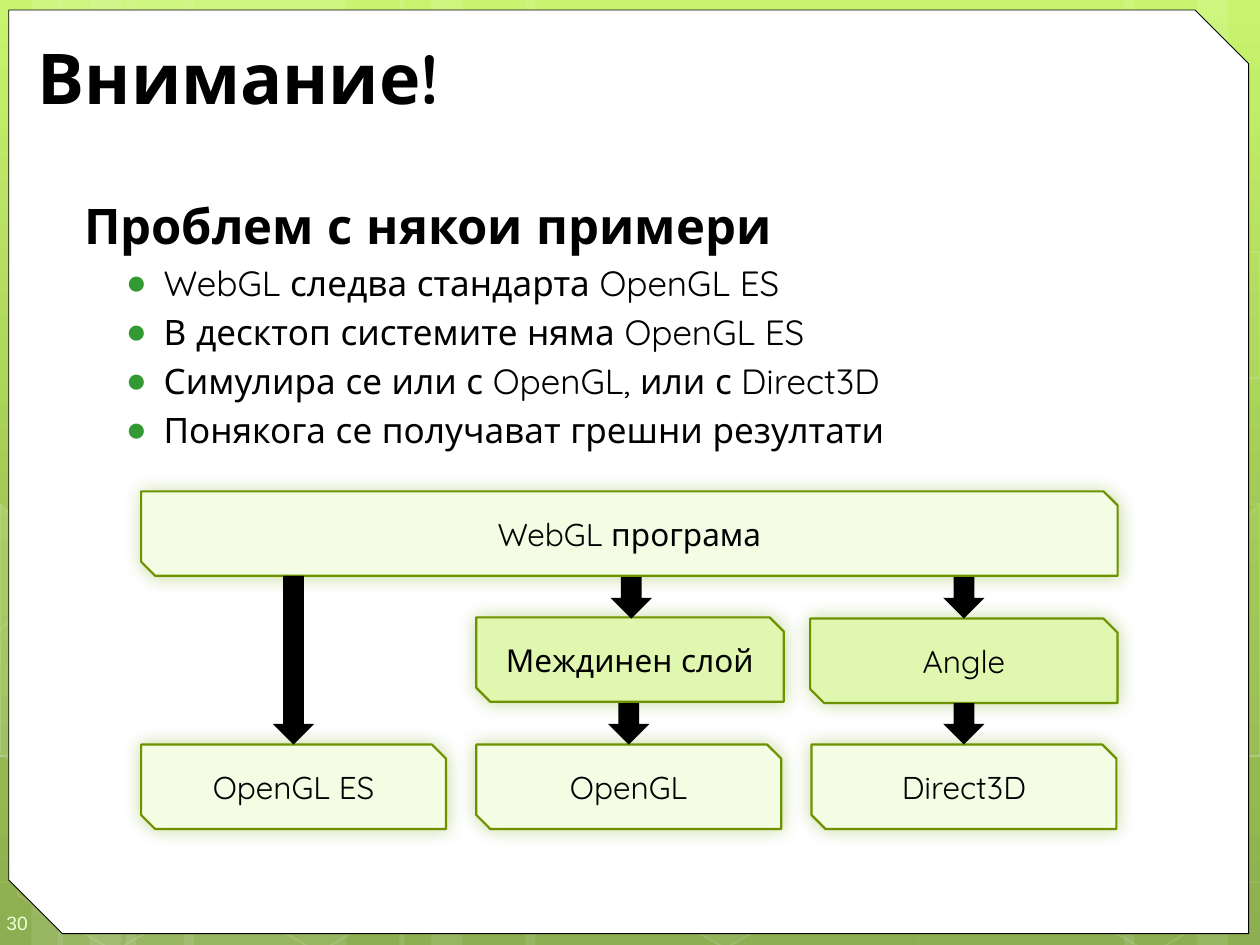
from lxml.etree import SubElement
from pptx import Presentation
from pptx.dml.color import RGBColor
from pptx.enum.shapes import MSO_SHAPE
from pptx.enum.text import MSO_ANCHOR, PP_ALIGN
from pptx.oxml.ns import qn
from pptx.util import Inches, Pt

WIDTH, HEIGHT = 10, 7.5
FONT = "Quicksand"
BLACK, WHITE = "000000", "FFFFFF"
PALE, LIME, OLIVE = "F4FCE4", "DFF7AE", "6D9200"

# Diagram grid: three columns, three rows
LEFT, PITCH, BOX_WIDTH, BOX_HEIGHT = 1.12, 2.66, 2.42, 0.67
TOP_ROW, MIDDLE_ROW, BOTTOM_ROW = 3.9, 4.9, 5.91
ARROW = 0.33

# Background strips: left and width
STRIPS = [(1, 1.75), (0, 0.5), (0.25, 0.83), (1.46, 1.75), (0.46, 0.5), (0.71, 0.83),
          (7.25, 1.75), (9.5, 0.5), (8.92, 0.83), (4.17, 3.08), (3.17, 0.5), (3.42, 0.83)]
# Thin sweeping lines behind the panel
SWEEPS = [
    [(-0.01, 6.73), (1.82, 6.78), (4.5, 6.65), (7.83, 6.17), (9.99, 5.51)],
    [(-0.01, 4.77), (1.13, 4.31), (3.39, 3.87), (6.46, 3.87), (9.99, 4.34)],
    [(-0.02, 6.17), (3.26, 7.49)],
    [(-0.01, 5.78), (1.2, 6.16), (3.48, 6.73), (6.2, 7.18), (8.44, 7.36), (9.99, 7.34)],
    [(2.34, 7.49), (2.94, 6.91), (4.61, 6.09), (6.72, 5.69), (8.78, 5.62), (9.98, 5.66)],
]
# Hexagons that reach the slide's lower edge: left, top, fill opacity
HEXAGONS = [(4.88, 5.89, 6), (0.03, 5.91, None), (1.65, 5.92, None), (8.26, 5.93, None)]
# Hexagons cut by the sides of the slide: outline, fill opacity
CUT_HEXAGONS = [
    ([(0, 4.45), (0.11, 4.38), (0.87, 4.82), (0.87, 5.7), (0.12, 6.14), (0, 6.07)], 10),
    ([(9.18, 4.85), (9.93, 4.41), (10, 4.46), (10.01, 6.13), (9.94, 6.17), (9.17, 5.73)], 4),
    ([(9.18, 2.07), (9.93, 1.63), (10.01, 1.68), (10.01, 3.35), (9.94, 3.39), (9.17, 2.95)], None),
]
BULLETS = ["WebGL следва стандарта OpenGL ES", "В десктоп системите няма OpenGL ES",
           "Симулира се или с OpenGL, или с Direct3D", "Понякога се получават грешни резултати"]


def rgb(color):
    return RGBColor.from_string(color)


def add_alpha(parent, percent):
    color = parent.find(f"{qn('a:solidFill')}/{qn('a:srgbClr')}")
    SubElement(color, qn("a:alpha"), val=str(percent * 1000))


def style(shape, fill=None, fill_alpha=None, line=None, weight=1, line_alpha=None):
    """Set fill and outline; opacities are in percent."""
    shape.shadow.inherit = False
    properties = shape.element.spPr
    if fill:
        shape.fill.solid()
        shape.fill.fore_color.rgb = rgb(fill)
        if fill_alpha:
            add_alpha(properties, fill_alpha)
    else:
        shape.fill.background()
    if line:
        shape.line.color.rgb = rgb(line)
        shape.line.width = Pt(weight)
        if line_alpha:
            add_alpha(properties.find(qn("a:ln")), line_alpha)
    else:
        shape.line.fill.background()


def add_preset(page, kind, left, top, width, height, **look):
    shape = page.shapes.add_shape(kind, *map(Inches, (left, top, width, height)))
    style(shape, **look)
    return shape


def add_outline(page, points, close, **look):
    builder = page.shapes.build_freeform(*points[0], scale=Inches(1))
    builder.add_line_segments(points[1:], close=close)
    style(builder.convert_to_shape(), **look)


def write(para, text, size, color=BLACK, font=FONT, bold=False, align=PP_ALIGN.LEFT):
    para.alignment = align
    span = para.add_run()
    span.text = text
    span.font.size, span.font.name, span.font.bold = Pt(size), font, bold
    span.font.color.rgb = rgb(color)


def set_insets(frame, left, top, right, bottom):
    frame.margin_left, frame.margin_top = Inches(left), Inches(top)
    frame.margin_right, frame.margin_bottom = Inches(right), Inches(bottom)


def add_text_box(page, left, top, width, height):
    frame = page.shapes.add_textbox(*map(Inches, (left, top, width, height))).text_frame
    frame.word_wrap = True
    return frame


def indent(para, margin, first=0.0):
    properties = para._p.get_or_add_pPr()
    properties.set("marL", str(Inches(margin)))
    properties.set("indent", str(Inches(first)))
    return properties


def add_bullet(para):
    properties = indent(para, 0.7, -0.3)
    SubElement(SubElement(properties, qn("a:spcBef")), qn("a:spcPct"), val="20000")
    SubElement(SubElement(properties, qn("a:buClr")), qn("a:srgbClr"), val="339933")
    SubElement(properties, qn("a:buFont"), typeface="Arial")
    SubElement(properties, qn("a:buChar"), char="●")


def add_box(page, text, left, top, width, fill):
    box = add_preset(page, MSO_SHAPE.SNIP_2_DIAG_RECTANGLE, left, top, width, BOX_HEIGHT,
                     fill=fill, line=OLIVE, weight=1.25)
    effects = box.element.spPr.find(qn("a:effectLst"))
    shadow = SubElement(effects, qn("a:outerShdw"), blurRad=str(Pt(10)), dist="0",
                        dir="2700000", algn="ctr", rotWithShape="0")
    color = SubElement(shadow, qn("a:srgbClr"), val="74A510")
    SubElement(color, qn("a:alpha"), val="40000")
    frame = box.text_frame
    frame.vertical_anchor = MSO_ANCHOR.MIDDLE
    set_insets(frame, 0, 0.05, 0, 0.05)
    write(frame.paragraphs[0], text, 18, align=PP_ALIGN.CENTER)


def add_down_arrow(page, center, top, length=ARROW):
    arrow = add_preset(page, MSO_SHAPE.RIGHT_ARROW, center - length / 2,
                       top + (length - ARROW) / 2, length, ARROW, fill=BLACK)
    arrow.rotation = 90


def add_background(page):
    fill = page.background.fill
    fill.gradient()
    fill.gradient_angle = 270
    stops = page.element.find(f".//{qn('a:gsLst')}")
    stops.clear()
    for share, color in [(0, "C3F35F"), (62, "93BF3F"), (100, "81A53E")]:
        stop = SubElement(stops, qn("a:gs"), pos=str(share * 1000))
        SubElement(stop, qn("a:srgbClr"), val=color)

    for left, width in STRIPS:
        add_preset(page, MSO_SHAPE.RECTANGLE, left, 0, width, HEIGHT, fill=WHITE, fill_alpha=10)
    for points in SWEEPS:
        add_outline(page, points, False, line=WHITE, weight=0.5, line_alpha=20)
    for left, top, alpha in HEXAGONS:
        hexagon = add_preset(page, MSO_SHAPE.HEXAGON, left, top, 1.75, 1.52,
                             fill=alpha and WHITE, fill_alpha=alpha, line=WHITE, line_alpha=12)
        hexagon.adjustments[0] = 0.285
        hexagon.rotation = 30
    for points, alpha in CUT_HEXAGONS:
        add_outline(page, points, True, fill=alpha and WHITE, fill_alpha=alpha,
                    line=WHITE, line_alpha=12)

    # White panel and page number
    panel = add_preset(page, MSO_SHAPE.SNIP_2_DIAG_RECTANGLE, 0.07, 0.08, 9.84, 7.33,
                       fill=WHITE, line=BLACK, weight=0.5)
    panel.adjustments[1] = 0.058
    number = add_text_box(page, 0, 7.1, 0.58, 0.4)
    number.vertical_anchor = MSO_ANCHOR.MIDDLE
    set_insets(number, 0.05, 0.15, 0, 0.1)
    write(number.paragraphs[0], "30", 11, color="EEFFD6", font="Arial")


def add_texts(page):
    title = page.shapes.title
    title.left, title.top, title.width, title.height = map(Inches, (0.2, 0.25, 9.47, 0.71))
    title.text_frame.vertical_anchor = MSO_ANCHOR.MIDDLE
    write(title.text_frame.paragraphs[0], "Внимание!", 40, bold=True)
    page.shapes._spTree.append(title.element)  # in front of the panel

    body = add_text_box(page, 0.5, 1.5, 9.42, 5.92)
    indent(body.paragraphs[0], 0.07)
    write(body.paragraphs[0], "Проблем с някои примери", 28, bold=True)
    for text in BULLETS:
        para = body.add_paragraph()
        add_bullet(para)
        write(para, text, 20)


def add_diagram(page):
    columns = [LEFT + PITCH * index for index in range(3)]
    centers = [left + BOX_WIDTH / 2 for left in columns]
    add_box(page, "WebGL програма", LEFT, TOP_ROW, 7.75, PALE)
    add_box(page, "Междинен слой", columns[1], MIDDLE_ROW, 2.44, LIME)
    add_box(page, "Angle", columns[2] - 0.01, MIDDLE_ROW + 0.01, 2.44, LIME)
    for text, left in zip(["OpenGL ES", "OpenGL", "Direct3D"], columns):
        add_box(page, text, left, BOTTOM_ROW, BOX_WIDTH, PALE)

    # Arrows fill the gaps between the rows
    add_down_arrow(page, centers[0], TOP_ROW + BOX_HEIGHT, 1.34)
    for center, top in [(centers[1] + 0.02, 4.58), (centers[1], 5.58),
                        (centers[2], 4.58), (centers[2], 5.58)]:
        add_down_arrow(page, center, top)


def main():
    deck = Presentation()
    deck.slide_width, deck.slide_height = Inches(WIDTH), Inches(HEIGHT)
    page = deck.slides.add_slide(deck.slide_layouts[5])
    add_background(page)
    add_texts(page)
    add_diagram(page)
    deck.save("out.pptx")


if __name__ == "__main__":
    main()
